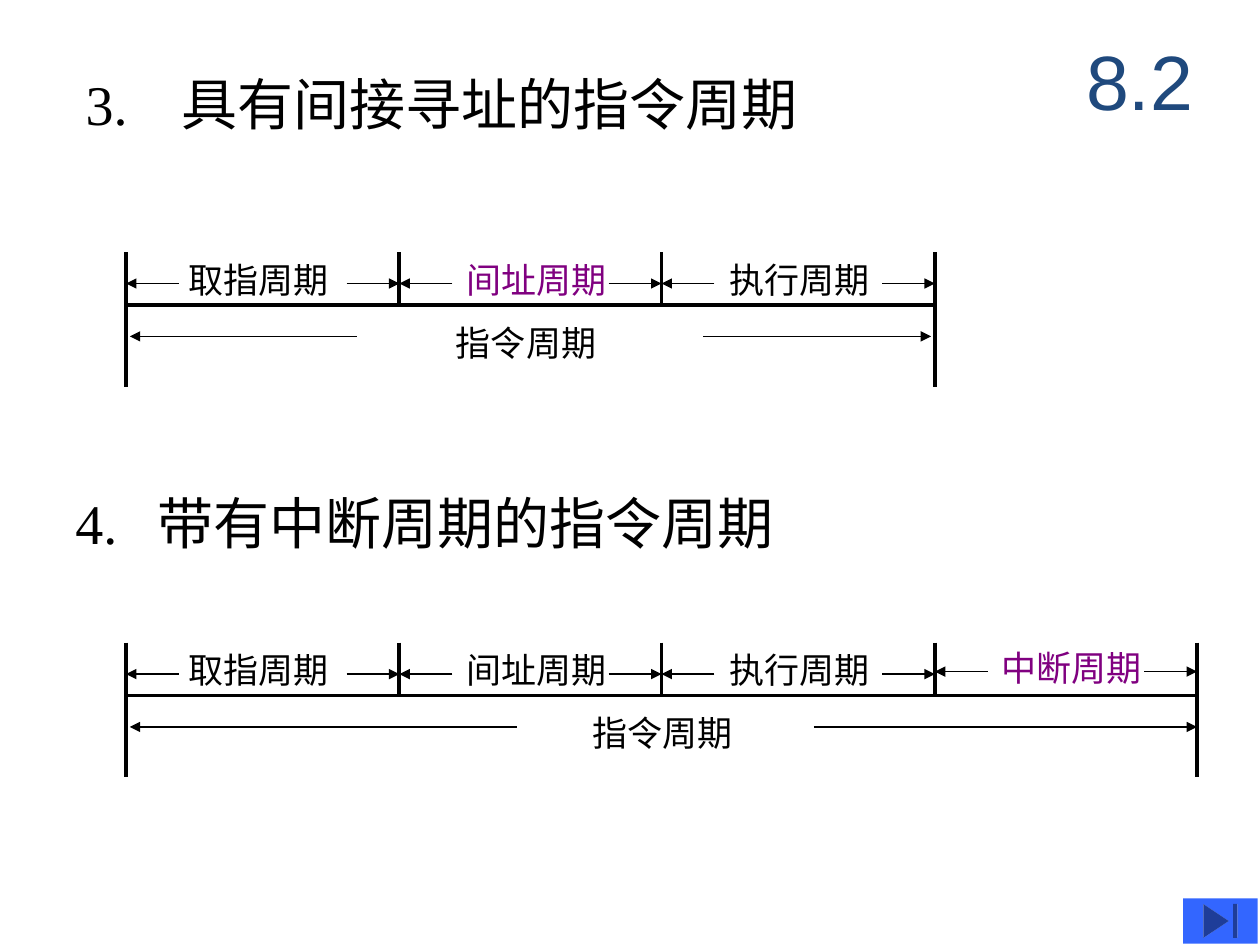
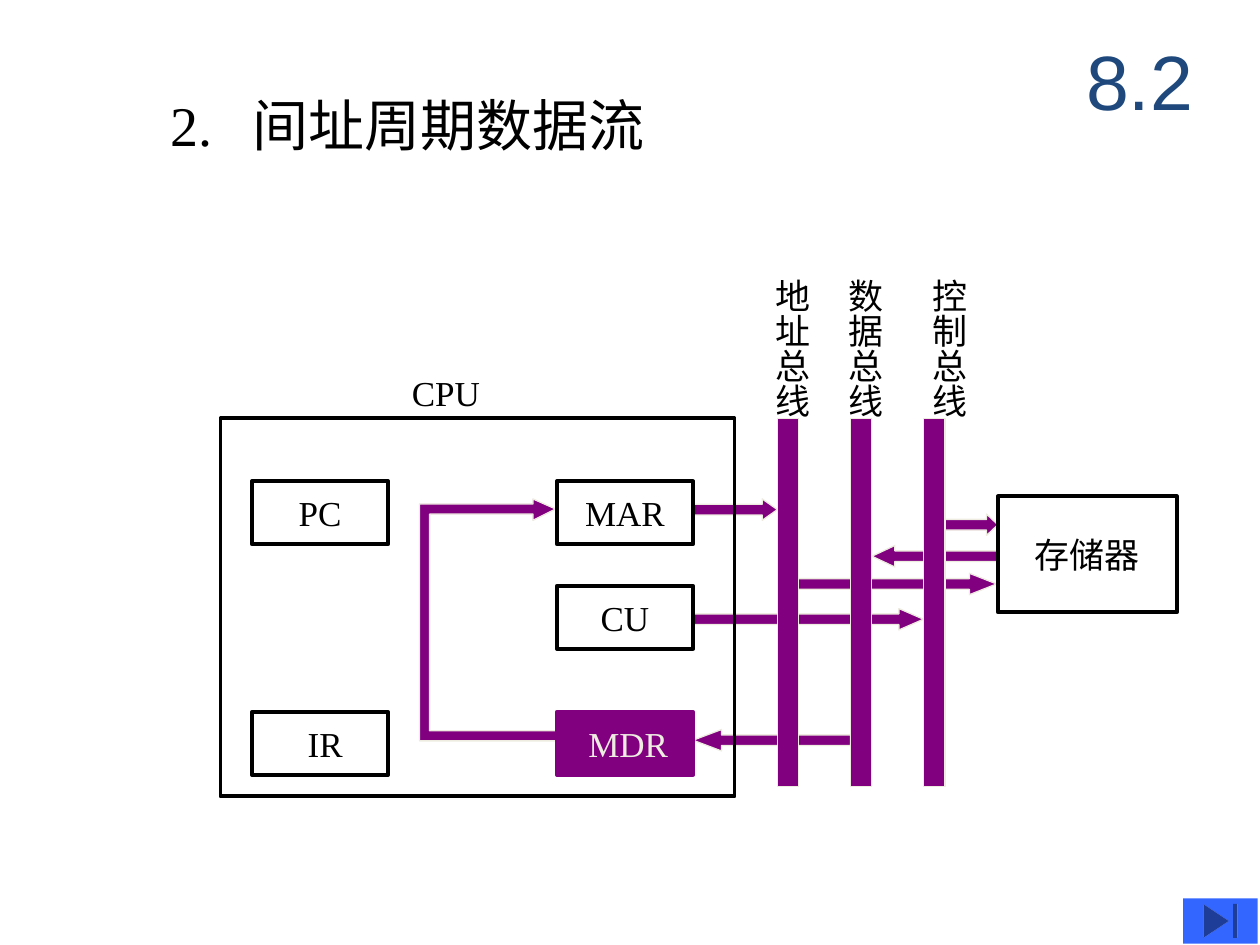
from lxml.etree import SubElement
from pptx import Presentation
from pptx.dml.color import RGBColor
from pptx.enum.shapes import MSO_CONNECTOR, MSO_SHAPE
from pptx.enum.text import MSO_ANCHOR, MSO_AUTO_SIZE, PP_ALIGN
from pptx.oxml.ns import qn
from pptx.util import Inches, Pt

BLACK = RGBColor(0x00, 0x00, 0x00)
PURPLE = RGBColor(0x80, 0x00, 0x80)
CREAM = RGBColor(0xEE, 0xEC, 0xE1)
NAVY = RGBColor(0x1F, 0x49, 0x7D)
BLUE = RGBColor(0x33, 0x66, 0xFF)
SERIF, SANS = "Times New Roman", "Arial"
THICK, THIN = 2.25, 0.75

SECTION = "8.2"
INDIRECT_HEADING = ("3.", "具有间接寻址的指令周期", 0.58, 0.5, 0.76)
INTERRUPT_HEADING = ("4.", "带有中断周期的指令周期", 0.5, 3.83, 0.65)
FLOW_HEADING = ("2.", "间址周期数据流", 1.25, 0.67, 0.65)

MARKS = [1, 3.17, 5.25, 7.42, 9.5]
STAGES = [("取指周期", 0.4, 0), ("间址周期", 0.43, 0),
          ("执行周期", 0.44, 0), ("中断周期", 0.43, 0.02)]
TOTAL = "指令周期"
TIMELINES = [
    dict(top=2, count=3, accent="间址周期", total_left=3.52,
         arrows=[(2.83, 1.03), (5.58, 7.39)]),
    dict(top=5.1, count=4, accent="中断周期", total_left=4.6,
         arrows=[(4.1, 1.03), (6.46, 9.5)]),
]

BUS_TOP, BUS_W, BUS_H = 3.32, 0.17, 2.92
BUSES = [("地址总线", 6.17, 5.97), ("数据总线", 6.75, 6.55), ("控制总线", 7.33, 7.22)]
FLOWS = [
    (MSO_SHAPE.LEFT_ARROW, 6.92, 4.33, 1, 1.07),
    (MSO_SHAPE.RIGHT_ARROW, 5.5, 4.83, 1.83, 1.15),
    (MSO_SHAPE.RIGHT_ARROW, 5.5, 3.96, 0.67, 0.71),
    (MSO_SHAPE.RIGHT_ARROW, 6.33, 4.55, 1.58, 1.27),
    (MSO_SHAPE.LEFT_ARROW, 5.5, 5.79, 1.25, 1.33),
    (MSO_SHAPE.RIGHT_ARROW, 7.42, 4.08, 0.5, 0.53),
]
MDR_TO_MAR = [(4.42, 5.8), (4.42, 5.88), (3.33, 5.88), (3.33, 4), (4.23, 4), (4.23, 3.96),
              (4.41, 4.04), (4.23, 4.13), (4.23, 4.08), (3.41, 4.08), (3.41, 5.8)]
CPU_FRAME = (1.75, 3.32, 4.08, 3)
REGISTER_W, REGISTER_H = 1.08, 0.5
REGISTERS = [("PC", 2, 3.82, 0), ("IR", 2, 5.65, 0.08), ("MAR", 4.42, 3.82, 0),
             ("CU", 4.42, 4.65, 0), ("MDR", 4.42, 5.65, 0.05)]
MEMORY = ("存储器", 7.92, 3.94, 1.42, 0.92)


def set_font(p, size, color, name=SERIF):
    p.font.size = Pt(size)
    p.font.name = name
    p.font.color.rgb = color


def paint(s, fill, line, width):
    s.shadow.inherit = False
    if fill is None:
        s.fill.background()
    else:
        s.fill.solid()
        s.fill.fore_color.rgb = fill
    if line is None:
        s.line.fill.background()
    else:
        s.line.color.rgb = line
        s.line.width = Pt(width)
    return s


def add_shape(slide, kind, left, top, width, height, fill=None, line=BLACK, weight=THICK):
    s = slide.shapes.add_shape(kind, *map(Inches, (left, top, width, height)))
    return paint(s, fill, line, weight)


def add_box(slide, text, left, top, width, height, fill=None, line=BLACK, color=BLACK, nudge=0):
    s = add_shape(slide, MSO_SHAPE.RECTANGLE, left, top, width, height, fill, line)
    tf = s.text_frame
    tf.word_wrap = False
    tf.margin_left = Inches(0.1 + nudge)
    p = tf.paragraphs[0]
    p.text = text
    p.alignment = PP_ALIGN.CENTER
    set_font(p, 20, color)


def add_label(slide, text, left, top, width=1.31, height=0.44, color=BLACK, vertical=False):
    tf = slide.shapes.add_textbox(*map(Inches, (left, top, width, height))).text_frame
    tf.word_wrap = False
    if vertical:
        tf.margin_left = tf.margin_right = Inches(0.05)
        tf.margin_top = tf.margin_bottom = Inches(0.1)
        tf._txBody.find(qn("a:bodyPr")).set("vert", "eaVert")
    p = tf.paragraphs[0]
    p.text = text
    set_font(p, 20, color)


def add_line(slide, x1, y1, x2, y2, width=THICK, arrow=False):
    c = slide.shapes.add_connector(MSO_CONNECTOR.STRAIGHT, *map(Inches, (x1, y1, x2, y2)))
    c.line.color.rgb = BLACK
    c.line.width = Pt(width)
    if arrow:
        SubElement(c.line._get_or_add_ln(), qn("a:tailEnd"), type="triangle")
    SubElement(c._element.spPr, qn("a:effectLst"))


def write_heading(s, number, text, left, top, tab):
    s.left, s.top, s.width, s.height = map(Inches, (left, top, 6.25, 0.64))
    tf = s.text_frame
    tf.word_wrap = True
    tf.auto_size = MSO_AUTO_SIZE.NONE
    tf.vertical_anchor = MSO_ANCHOR.TOP
    p = tf.paragraphs[0]
    p.text = f"{number}\t{text}"
    p.alignment = PP_ALIGN.LEFT
    tabs = SubElement(p._p.get_or_add_pPr(), qn("a:tabLst"))
    SubElement(tabs, qn("a:tab"), pos=str(Inches(tab)), algn="l")
    set_font(p, 32, BLACK)


def new_slide(prs, heading):
    slide = prs.slides.add_slide(prs.slide_layouts[5])
    write_heading(slide.shapes.title, *heading)
    tf = slide.shapes.add_textbox(*map(Inches, (8.42, 0.17, 1.25, 0.92))).text_frame
    tf.word_wrap = True
    tf.vertical_anchor = MSO_ANCHOR.MIDDLE
    p = tf.paragraphs[0]
    p.text = SECTION
    p.alignment = PP_ALIGN.CENTER
    set_font(p, 44, NAVY, SANS)
    add_shape(slide, MSO_SHAPE.ACTION_BUTTON_END, 9.39, 7.13, 0.59, 0.36, BLUE, None)
    return slide


def add_timeline(slide, top, count, accent, total_left, arrows):
    marks = MARKS[:count + 1]
    base = top + 0.42
    add_line(slide, marks[0], base, marks[-1], base)
    for x in marks:
        bottom = top + 1.07 if x in (marks[0], marks[-1]) else base
        add_line(slide, x, top, x, bottom)
    for (text, offset, lift), start, end in zip(STAGES, marks, marks[1:]):
        y = top + 0.25 - lift
        add_line(slide, start + 0.42, y, start, y, THIN, True)
        add_line(slide, end - 0.42, y, end, y, THIN, True)
        add_label(slide, text, start + offset, top - lift,
                  color=PURPLE if text == accent else BLACK)
    for tail, head in arrows:
        add_line(slide, tail, top + 0.67, head, top + 0.67, THIN, True)
    add_label(slide, TOTAL, total_left, top + 0.5)


def add_data_flow(slide):
    for kind, left, top, width, head in FLOWS:
        s = add_shape(slide, kind, left, top, width, 0.17, PURPLE, CREAM, THIN)
        s.adjustments[0], s.adjustments[1] = 0.5, head
    points = [(Inches(x), Inches(y)) for x, y in MDR_TO_MAR]
    builder = slide.shapes.build_freeform(*points[0])
    builder.add_line_segments(points[1:], close=True)
    paint(builder.convert_to_shape(), PURPLE, CREAM, THIN)
    for text, left, label_left in BUSES:
        add_shape(slide, MSO_SHAPE.RECTANGLE, left, BUS_TOP, BUS_W, BUS_H, PURPLE, CREAM, THIN)
        add_label(slide, text, label_left, 2.11, 0.53, 1.22, vertical=True)
    add_shape(slide, MSO_SHAPE.RECTANGLE, *CPU_FRAME)
    add_label(slide, "CPU", 3.17, 2.9, 0.74)
    for text, left, top, nudge in REGISTERS:
        active = text == "MDR"
        add_box(slide, text, left, top, REGISTER_W, REGISTER_H, PURPLE if active else None,
                PURPLE if active else BLACK, CREAM if active else BLACK, nudge)
    add_box(slide, *MEMORY)


def main():
    prs = Presentation()
    prs.slide_width, prs.slide_height = Inches(10), Inches(7.5)
    cycles = new_slide(prs, INDIRECT_HEADING)
    write_heading(cycles.shapes.add_textbox(0, 0, 0, 0), *INTERRUPT_HEADING)
    for timeline in TIMELINES:
        add_timeline(cycles, **timeline)
    add_data_flow(new_slide(prs, FLOW_HEADING))
    prs.save("out.pptx")


if __name__ == "__main__":
    main()
